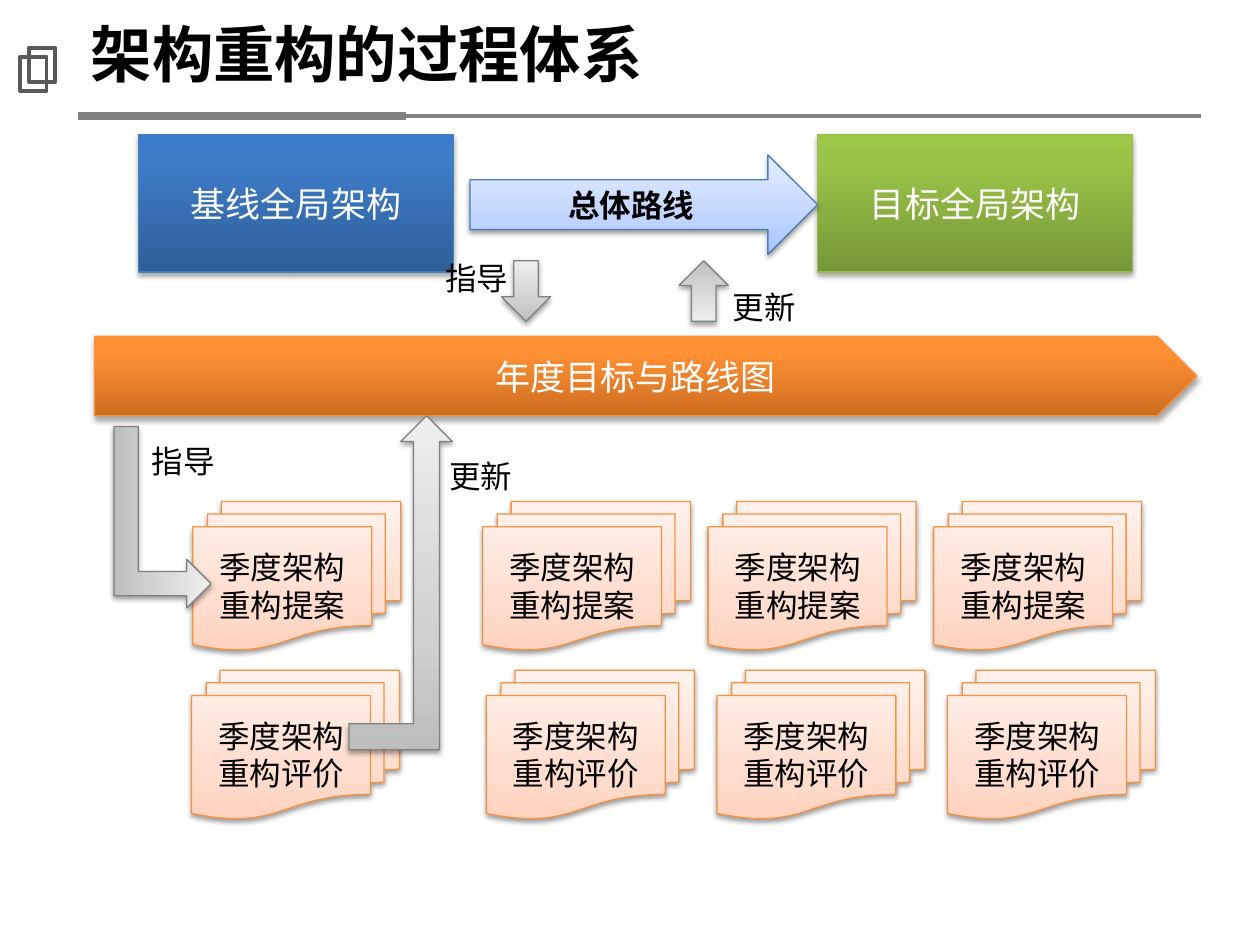
import pptx
import pptx.dml.color
import pptx.enum.shapes
import pptx.enum.text
import pptx.oxml
import pptx.oxml.ns
import pptx.util
from lxml import etree

Inches, Pt = pptx.util.Inches, pptx.util.Pt
SHAPE = pptx.enum.shapes.MSO_SHAPE
ANCHOR = pptx.enum.text.MSO_ANCHOR
ALIGN = pptx.enum.text.PP_ALIGN
qn = pptx.oxml.ns.qn

# Content: places are left, top, width, height in inches
TITLE = "架构重构的过程体系"
RULES = [(9.53, 2.25), (3.22, 4.5)]  # right end, weight
ICON_CORNERS = [(0.16, 0.45), (0.23, 0.38)]
MAIN_BLOCKS = [
    (SHAPE.RECTANGLE, (1.1, 1.07, 2.5, 1.09), "blue", "基线全局架构"),
    (SHAPE.RECTANGLE, (6.49, 1.07, 2.5, 1.09), "green", "目标全局架构"),
    (SHAPE.RIGHT_ARROW, (3.73, 1.23, 2.76, 0.79), "pale_blue", "总体路线"),
    (SHAPE.PENTAGON, (0.75, 2.67, 8.75, 0.63), "orange", "年度目标与路线图"),
]
QUARTER_ROWS = [  # text, top, left of first, left of second, step after that
    ("季度架构\n重构提案", 3.98, 1.53, 3.83, 1.79),
    ("季度架构\n重构评价", 5.32, 1.52, 3.86, 1.83),
]
FLOW_ARROWS = [
    (SHAPE.DOWN_ARROW, (3.98, 2.07, 0.39, 0.48), 0),
    (SHAPE.DOWN_ARROW, (5.39, 2.07, 0.39, 0.48), 180),
    (SHAPE.BENT_UP_ARROW, (0.57, 3.72, 1.44, 0.77), 90),
    (SHAPE.BENT_UP_ARROW, (2.77, 3.3, 0.82, 2.65), 0),
]
FLOW_LABELS = [("指导", 3.43, 2.01), ("更新", 5.71, 2.24),
               ("指导", 1.1, 3.46), ("更新", 3.46, 3.58)]


class Theme:
    font = "Noto Sans CJK SC"
    title_size, block_size, body_size = 35.1, 20, 18
    black, white, rule, icon = "000000", "FFFFFF", "808080", "595959"
    # gradient stops from the bottom up, line, text, size, bold, shadow (alpha, distance)
    strong, soft = (35, 23000), (38, 20000)
    styles = {
        "blue": ([(0, "2F5F99"), (80, "3D7CC7"), (100, "3A7CCB")],
                 "4B7EBC", white, block_size, False, strong),
        "green": ([(0, "779737"), (80, "9BC348"), (100, "9DC746")],
                  "98B955", white, block_size, False, strong),
        "orange": ([(0, "CC6E20"), (80, "FF9034"), (100, "FF9136")],
                   "F69240", white, block_size, False, strong),
        "pale_blue": ([(0, "A4C4FF"), (35, "BFD4FF"), (100, "E6EEFF")],
                      "4B7EBC", black, body_size, True, soft),
        "peach": ([(0, "FFD2BD"), (35, "FFDED0"), (100, "FFF2ED")],
                  "F69240", black, body_size, False, soft),
        "grey": ([(0, "BDBDBD"), (35, "D1D1D1"), (100, "EEEEEE")],
                 "808080", black, body_size, False, soft),
    }


def rgb(color):
    return pptx.dml.color.RGBColor.from_string(color)


def place(box):
    return [Inches(length) for length in box]


def write(frame, text, size, color, bold=False, align=ALIGN.CENTER):
    frame.text = text
    for paragraph in frame.paragraphs:
        paragraph.alignment = align
        font = paragraph.font
        font.name, font.size, font.bold = Theme.font, Pt(size), bold
        font.color.rgb = rgb(color)
        properties = paragraph._p.pPr.find(qn("a:defRPr"))
        properties.find(qn("a:latin")).addnext(
            properties.makeelement(qn("a:ea"), {"typeface": Theme.font}))


def add_color(parent, color):
    return etree.SubElement(parent, qn("a:srgbClr"), val=color)


def add_styled(kind, box, style, text=""):
    stops, line, text_color, size, bold, (alpha, distance) = Theme.styles[style]
    shape = slide.shapes.add_shape(kind, *place(box))
    shape.fill.gradient()
    shape.fill.gradient_angle = 90
    stop_list = shape._element.spPr.find(".//" + qn("a:gsLst"))
    for stop in list(stop_list):
        stop_list.remove(stop)
    for position, color in stops:
        add_color(etree.SubElement(stop_list, qn("a:gs"), pos=str(position * 1000)), color)
    shape.line.color.rgb = rgb(line)
    shape.line.width = Pt(0.75)
    # Soft shadow straight below
    shape.shadow.inherit = False
    shadow = etree.SubElement(
        shape._element.spPr.find(qn("a:effectLst")), qn("a:outerShdw"),
        blurRad="40000", dist=str(distance), dir="5400000", rotWithShape="0")
    etree.SubElement(add_color(shadow, Theme.black), qn("a:alpha"), val=str(alpha * 1000))
    if text:
        shape.text_frame.vertical_anchor = ANCHOR.MIDDLE
        write(shape.text_frame, text, size, text_color, bold)
    return shape


deck = pptx.Presentation()
deck.slide_width, deck.slide_height = Inches(10), Inches(7.5)
slide = deck.slides.add_slide(deck.slide_layouts[5])

# Title with its rules and icon
title = slide.shapes.title
title.left, title.top, title.width, title.height = place((0.62, 0.14, 8.88, 0.64))
title.text_frame.vertical_anchor = ANCHOR.MIDDLE
write(title.text_frame, TITLE, Theme.title_size, Theme.black, True, ALIGN.LEFT)
title.text_frame.paragraphs[0].line_spacing = 0.9

for right, weight in RULES:
    rule = slide.shapes.add_connector(pptx.enum.shapes.MSO_CONNECTOR.STRAIGHT,
                                      *place((0.62, 0.92, right, 0.92)))
    rule.line.color.rgb = rgb(Theme.rule)
    rule.line.width = Pt(weight)
    etree.SubElement(rule._element.spPr, qn("a:effectLst"))

for corner in ICON_CORNERS:
    sheet = slide.shapes.add_shape(SHAPE.RECTANGLE, *place((*corner, 0.21, 0.27)))
    sheet.fill.background()
    sheet.line.color.rgb = rgb(Theme.icon)
    sheet.line.width = Pt(2.25)
    sheet.shadow.inherit = False

# Baseline, target, route and yearly plan
for block in MAIN_BLOCKS:
    add_styled(*block)

# Quarterly documents
for text, top, first, second, step in QUARTER_ROWS:
    for left in [first] + [second + step * i for i in range(3)]:
        add_styled(SHAPE.FLOWCHART_MULTIDOCUMENT, (left, top, 1.65, 1.18), "peach", text)

# Guide and update flows
for kind, box, turn in FLOW_ARROWS:
    add_styled(kind, box, "grey").rotation = turn
for text, left, top in FLOW_LABELS:
    label = slide.shapes.add_textbox(*place((left, top, 0.71, 0.4))).text_frame
    label.word_wrap = False
    label.auto_size = pptx.enum.text.MSO_AUTO_SIZE.SHAPE_TO_FIT_TEXT
    write(label, text, Theme.body_size, Theme.black)

deck.save("out.pptx")
